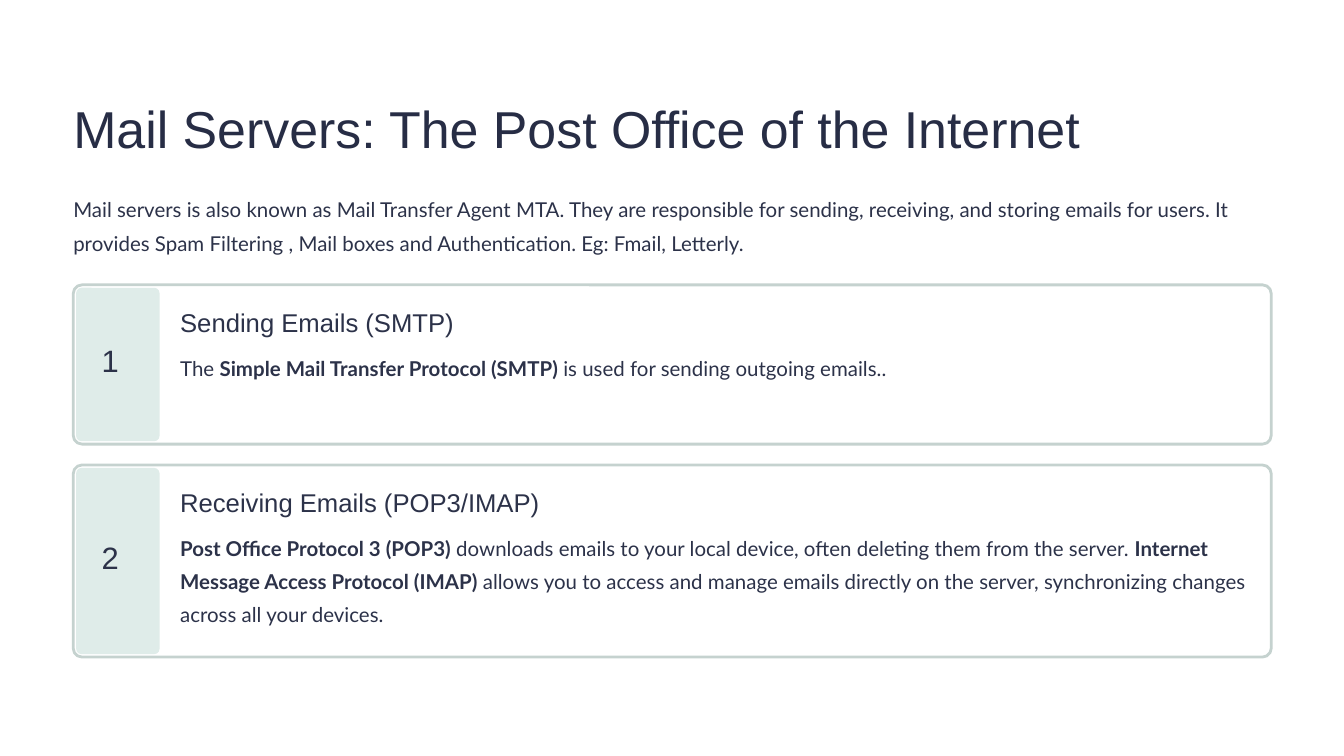
from pptx import Presentation
from pptx.dml.color import RGBColor
from pptx.enum.shapes import MSO_SHAPE
from pptx.util import Cm, Pt

ROUNDED = MSO_SHAPE.ROUNDED_RECTANGLE
WHITE = RGBColor(0xFF, 0xFF, 0xFF)
TITLE_INK = RGBColor(0x27, 0x2D, 0x45)
INK = RGBColor(0x2C, 0x32, 0x49)
BORDER = RGBColor(0xC5, 0xD2, 0xCF)
MINT = RGBColor(0xDF, 0xEC, 0xE9)

LEFT = 2.77
WIDTH = 45.28
TEXT_LEFT = 6.81
TEXT_WIDTH = 41.15
CARD_GAP = 0.79
TAB_INSET = 0.11

deck = Presentation()
deck.slide_width = Cm(50.8)
deck.slide_height = Cm(28.58)
page = deck.slides.add_slide(deck.slide_layouts[6])
page.background.fill.solid()
page.background.fill.fore_color.rgb = WHITE


def add_text(left, top, width, height, spans, font, size, spacing, color=INK):
    box = page.shapes.add_textbox(Cm(left), Cm(top), Cm(width), Cm(height))
    frame = box.text_frame
    frame.word_wrap = True
    frame.margin_left = frame.margin_right = 0
    frame.margin_top = frame.margin_bottom = 0
    para = frame.paragraphs[0]
    para.line_spacing = Pt(spacing)
    for text, bold in spans:
        span = para.add_run()
        span.text = text
        span.font.name = font
        span.font.size = Pt(size)
        span.font.bold = bold
        span.font.color.rgb = color


def add_panel(left, top, width, height, radius, color):
    panel = page.shapes.add_shape(ROUNDED, Cm(left), Cm(top), Cm(width), Cm(height))
    panel.adjustments[0] = radius / min(width, height)
    panel.shadow.inherit = False
    panel.fill.solid()
    panel.fill.fore_color.rgb = color
    panel.line.fill.background()
    return panel


add_text(LEFT, 3.58, 40, 2.46,
         [("Mail Servers: The Post Office of the Internet", False)],
         "Arial", 55.6, 69.3, TITLE_INK)
add_text(LEFT, 7.14, WIDTH, 2.57,
         [("Mail servers is also known as Mail Transfer Agent MTA. They are "
           "responsible for sending, receiving, and storing emails for users. It "
           "provides Spam Filtering , Mail boxes and Authentication. "
           "Eg: Fmail, Letterly.", False)],
         "Lato", 21.9, 35.6)

cards = [
    (6.02, "Sending Emails (SMTP)", [
        ("The ", False),
        ("Simple Mail Transfer Protocol (SMTP)", True),
        (" is used for sending outgoing emails..", False),
    ]),
    (7.26, "Receiving Emails (POP3/IMAP)", [
        ("Post Office Protocol 3 (POP3)", True),
        (" downloads emails to your local device, often deleting them from "
         "the server. ", False),
        ("Internet Message Access Protocol (IMAP)", True),
        (" allows you to access and manage emails directly on the server, "
         "synchronizing changes across all your devices.", False),
    ]),
]

top = 10.77
for number, (height, heading, body) in enumerate(cards, start=1):
    card = add_panel(LEFT, top, WIDTH, height, 0.33, WHITE)
    card.line.color.rgb = BORDER
    card.line.width = Pt(3)
    add_panel(LEFT + TAB_INSET, top + TAB_INSET, 3.15, height - 2 * TAB_INSET, 0.2, MINT)
    add_text(3.84, top + (height - 1.24) / 2, 1.19, 1.37,
             [(str(number), False)], "Arial", 33.1, 33.1)
    add_text(TEXT_LEFT, top + 0.79, TEXT_WIDTH, 1.22,
             [(heading, False)], "Arial", 27.5, 34.4)
    add_text(TEXT_LEFT, top + 2.36, TEXT_WIDTH, height - 3.25,
             body, "Lato", 21.9, 35.6)
    top += height + CARD_GAP

deck.save("out.pptx")
